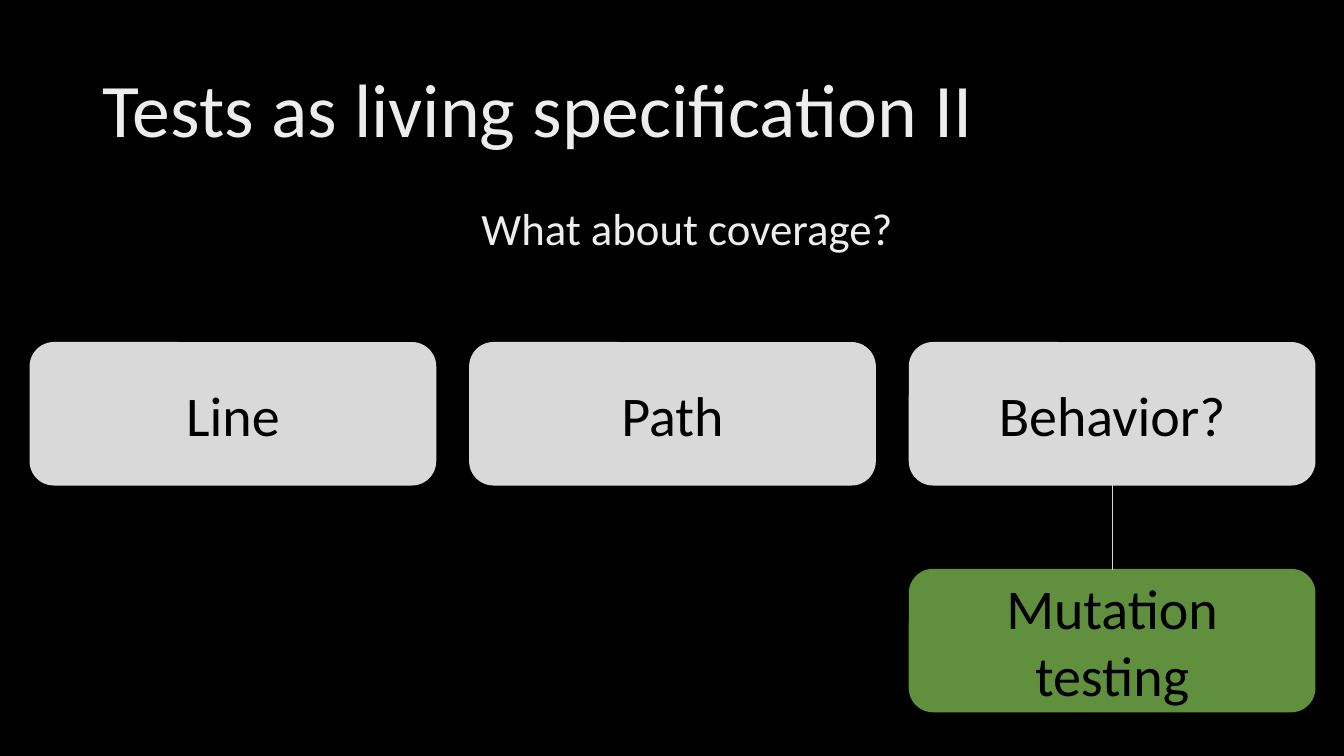
import pptx
import pptx.util
import pptx.dml.color
import pptx.enum.shapes
import pptx.enum.text
import pptx.oxml.ns
import lxml.etree

Inches = pptx.util.Inches
Pt = pptx.util.Pt
ALIGN = pptx.enum.text.PP_ALIGN
ANCHOR = pptx.enum.text.MSO_ANCHOR
COLORS = {"background": "000000", "heading": "EDEDED", "text": "000000",
          "coverage": "D9D9D9", "mutation": "608F3D"}


def rgb(name):
    return pptx.dml.color.RGBColor.from_string(COLORS[name])


def write(sp, text, size, color, align, anchor):
    tf = sp.text_frame
    tf.word_wrap = True
    tf.auto_size = pptx.enum.text.MSO_AUTO_SIZE.NONE
    tf.vertical_anchor = anchor
    p = tf.paragraphs[0]
    p.text = text
    p.alignment = align
    p.font.name = "Calibri"
    p.font.size = Pt(size)
    p.font.color.rgb = rgb(color)
    return p


prs = pptx.Presentation()
prs.slide_width = Inches(13.33)
prs.slide_height = Inches(7.5)
s = prs.slides.add_slide(prs.slide_layouts[5])
s.background.fill.solid()
s.background.fill.fore_color.rgb = rgb("background")

# Title and question
title = s.shapes.title
title.left, title.top = Inches(0.92), Inches(0.4)
title.width, title.height = Inches(11.5), Inches(1.45)
p = write(title, "Tests as living specification II", 54, "heading",
          ALIGN.LEFT, ANCHOR.MIDDLE)
p.line_spacing = 0.9

question = s.shapes.add_textbox(Inches(1.22), Inches(2), Inches(11.19), Inches(0.7))
p = write(question, "What about coverage?", 32, "heading", ALIGN.CENTER, ANCHOR.TOP)
p.line_spacing = 0.9
p.space_before = Pt(10)

# Kinds of coverage, with mutation testing below the last
LEFT, STEP, WIDTH, HEIGHT = 0.3, 4.36, 4.02, 1.41
TOP, MUTATION_TOP = 3.4, 5.65
boxes = [("Line", 0, TOP, "coverage"),
         ("Path", 1, TOP, "coverage"),
         ("Behavior?", 2, TOP, "coverage"),
         ("Mutation testing", 2, MUTATION_TOP, "mutation")]
for text, column, top, color in boxes:
    sp = s.shapes.add_shape(pptx.enum.shapes.MSO_SHAPE.ROUNDED_RECTANGLE,
                            Inches(LEFT + column * STEP), Inches(top),
                            Inches(WIDTH), Inches(HEIGHT))
    sp.shadow.inherit = False
    sp.fill.solid()
    sp.fill.fore_color.rgb = rgb(color)
    sp.line.color.rgb = rgb(color)
    sp.line.width = Pt(1)
    write(sp, text, 40, "text", ALIGN.CENTER, ANCHOR.MIDDLE)

# Link from behavior to mutation testing
center = Inches(LEFT + 2 * STEP + WIDTH / 2)
link = s.shapes.add_connector(pptx.enum.shapes.MSO_CONNECTOR.STRAIGHT,
                              center, Inches(TOP + HEIGHT),
                              center, Inches(MUTATION_TOP))
link.line.color.rgb = rgb("coverage")
link.line.width = Pt(0.5)
lxml.etree.SubElement(link._element.spPr, pptx.oxml.ns.qn("a:effectLst"))

prs.save("out.pptx")
